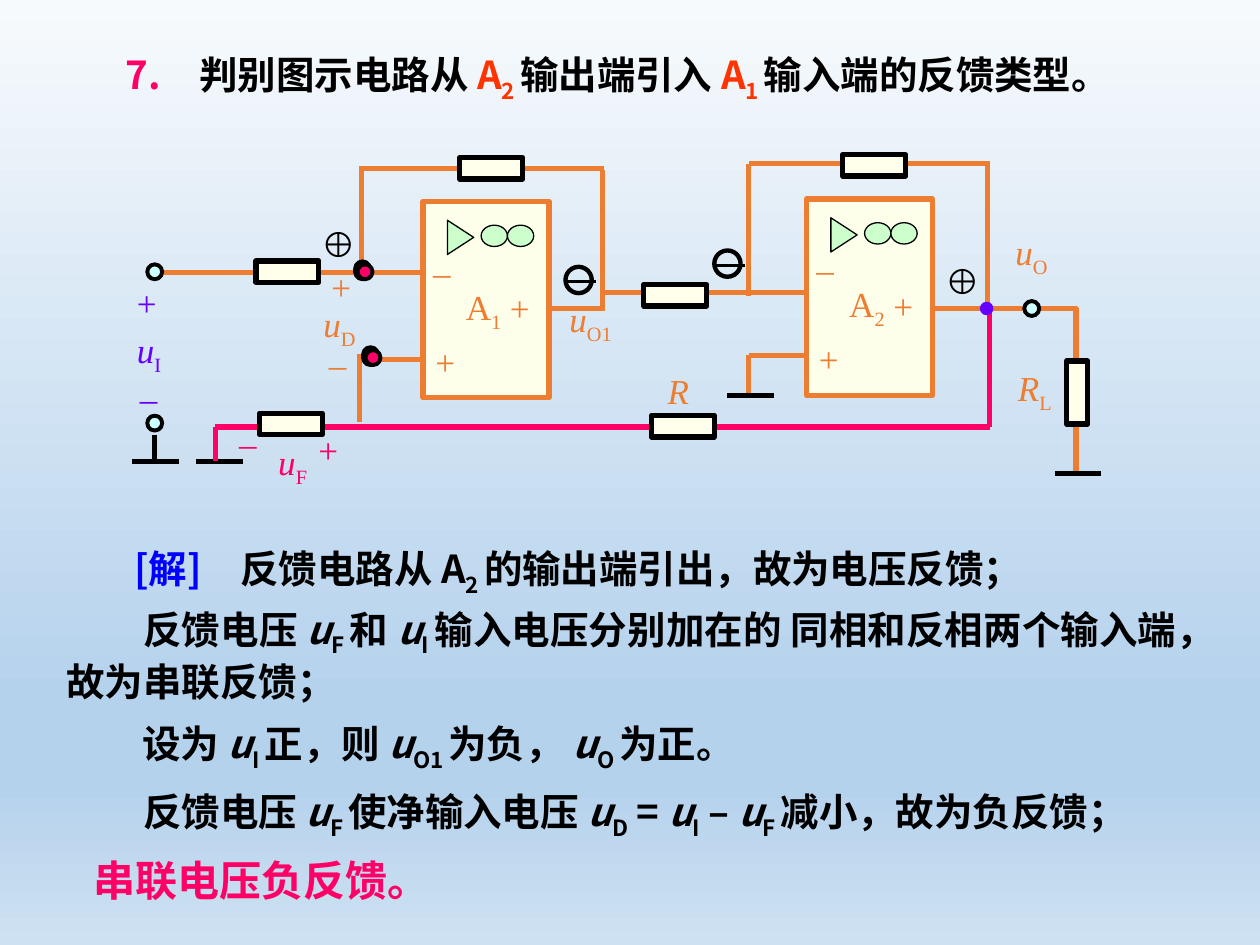
from lxml.etree import SubElement
from pptx import Presentation
from pptx.dml.color import RGBColor
from pptx.enum.dml import MSO_LINE
from pptx.enum.shapes import MSO_CONNECTOR, MSO_SHAPE
from pptx.enum.text import MSO_ANCHOR, PP_ALIGN
from pptx.oxml.ns import qn
from pptx.util import Cm, Pt

ORANGE, PINK, BLACK, VIOLET = "ED7D31", "FF0066", "000000", "6600FF"
CREAM, GREEN, CYAN = "FFFFEB", "CCFFCC", "CCFFFF"
SERIF, SANS = "Times New Roman", "Noto Sans CJK SC"
SKY = [(0, "F7FAFD"), (74, "B5D2EC"), (83, "B5D2EC"), (100, "CEE1F2")]


def color(value):
    return RGBColor.from_string(value)


def paint_sky(page):
    fill = page.background.fill
    fill.gradient()
    fill.gradient_angle = 270
    stops = fill.gradient_stops._gsLst
    for stop in list(stops):
        stops.remove(stop)
    for percent, value in SKY:
        stop = SubElement(stops, qn("a:gs"), pos=str(percent * 1000))
        SubElement(stop, qn("a:srgbClr"), val=value)


def plain(text, shade=None):
    return [(text, shade, False, False)]


def var(name, index="", italic=True, shade=None):
    return [(name, shade, italic, False), (index, shade, False, True)]


def add_text(page, left, top, width, height, spans, shade, size, font, bold=False,
             align=PP_ALIGN.LEFT, wrap=True, anchor=MSO_ANCHOR.MIDDLE):
    box = page.shapes.add_textbox(Cm(left), Cm(top), Cm(width), Cm(height))
    frame = box.text_frame
    frame.word_wrap = wrap
    frame.vertical_anchor = anchor
    para = frame.paragraphs[0]
    para.alignment = align
    para.font.size = Pt(size)
    para.font.bold = bold
    para.font.color.rgb = color(shade)
    para.font.name = font
    SubElement(para.font._rPr, qn("a:ea"), typeface=font)
    for text, own_shade, italic, lowered in spans:
        if not text:
            continue
        span = para.add_run()
        span.text = text
        if own_shade:
            span.font.color.rgb = color(own_shade)
        if italic:
            span.font.italic = True
        if lowered:
            span.font._element.set("baseline", "-25000")
    return para


def add_label(page, left, top, width, spans, shade=ORANGE):
    add_text(page, left, top, width, 1.12, spans, shade, 20, SERIF,
             wrap=False, anchor=MSO_ANCHOR.TOP)


def add_sign(page, left, top, sign, shade=ORANGE):
    add_label(page, left, top, 0.91 if sign == "+" else 0.86, plain(sign), shade)


def add_body(page, left, top, width, spans, height=1.19, shade=BLACK, size=22, **options):
    return add_text(page, left, top, width, height, spans, shade, size, SANS, True, **options)


def add_wire(page, x1, y1, x2, y2, shade=ORANGE, weight=3):
    wire = page.shapes.add_connector(MSO_CONNECTOR.STRAIGHT, Cm(x1), Cm(y1), Cm(x2), Cm(y2))
    wire.line.color.rgb = color(shade)
    wire.line.width = Pt(weight)
    SubElement(wire._element.spPr, qn("a:effectLst"))


def style(shape, fill, line, weight):
    shape.shadow.inherit = False
    if fill:
        shape.fill.solid()
        shape.fill.fore_color.rgb = color(fill)
    else:
        shape.fill.background()
    shape.line.color.rgb = color(line)
    shape.line.width = Pt(weight)
    shape.line.dash_style = MSO_LINE.SOLID


def add_part(page, kind, left, top, width, height, fill, line=BLACK, weight=3, turn=0):
    part = page.shapes.add_shape(kind, Cm(left), Cm(top), Cm(width), Cm(height))
    part.rotation = turn
    style(part, fill, line, weight)


def add_resistor(page, left, top, turn=0):
    add_part(page, MSO_SHAPE.RECTANGLE, left, top, 1.27, 0.43, CREAM, turn=turn)


def add_dot(page, left, top, fill, size=0.3, line=BLACK, weight=2.25):
    add_part(page, MSO_SHAPE.OVAL, left, top, size, size, fill, line, weight)


def add_ground(page, center, top):
    add_wire(page, center - 0.47, top, center + 0.47, top, BLACK)


def add_negative_mark(page, left, top):
    add_wire(page, left - 0.02, top + 0.3, left + 0.61, top + 0.3, BLACK, 1.75)
    add_dot(page, left, top, None, 0.53, weight=2.5)


def add_amplifier(page, left, top, index):
    add_part(page, MSO_SHAPE.RECTANGLE, left, top, 2.54, 3.96, "FEFFEB", ORANGE)
    add_part(page, MSO_SHAPE.FLOWCHART_MERGE, left + 0.41, top + 0.46, 0.69, 0.53,
             GREEN, weight=0.75, turn=270)
    for offset in (1.17, 1.7):
        add_part(page, MSO_SHAPE.OVAL, left + offset, top + 0.48, 0.53, 0.43, GREEN, weight=0.75)
    for dx, dy, sign in [(1.5, 1.6, "+"), (-0.05, 0.86, "–"), (0, 2.67, "+")]:
        add_sign(page, left + dx, top + dy, sign)
    add_label(page, left + 0.61, top + 1.57, 1.25, var("A", index, italic=False))


def add_load_wire(page):
    points = [(18.85, 6.22), (21.69, 6.22), (21.69, 9.55)]
    start, *others = [(Cm(x), Cm(y)) for x, y in points]
    builder = page.shapes.build_freeform(*start)
    builder.add_line_segments(others, close=False)
    style(builder.convert_to_shape(), None, ORANGE, 3)


def add_circuit(page):
    for ends in [(3.2, 5.49, 8.53, 5.49), (7.26, 7.24, 8.48, 7.24), (7.24, 7.14, 7.24, 8.51),
                 (7.29, 3.35, 7.29, 5.49), (12.14, 3.43, 12.14, 6.27), (7.29, 3.4, 12.17, 3.4),
                 (12.14, 5.89, 16.21, 5.89), (15.09, 7.16, 16.31, 7.16),
                 (15.09, 7.16, 15.09, 7.92), (15.09, 3.3, 15.09, 5.97),
                 (19.91, 3.35, 19.91, 6.22), (15.09, 3.3, 19.96, 3.3),
                 (11.07, 6.22, 12.14, 6.22)]:
        add_wire(page, *ends)
    add_load_wire(page)
    for center, top in [(3.14, 9.3), (4.42, 9.3), (15.13, 7.98), (21.73, 9.55)]:
        add_ground(page, center, top)
    add_wire(page, 3.12, 8.76, 3.12, 9.35, BLACK)
    for ends in [(4.34, 8.61, 19.96, 8.61), (19.94, 6.22, 19.94, 8.61), (4.34, 8.61, 4.34, 9.3)]:
        add_wire(page, *ends, PINK)
    for place in [(5.16, 5.26), (9.27, 3.18), (12.98, 5.74), (16.99, 3.12),
                  (5.23, 8.33), (13.13, 8.38), (21.08, 7.7, 90)]:
        add_resistor(page, *place)
    add_amplifier(page, 8.53, 4.06, "1")
    add_amplifier(page, 16.26, 4.01, "2")
    for left, top in [(2.97, 8.38), (2.97, 5.33), (20.65, 6.07)]:
        add_dot(page, left, top, CYAN)
    add_dot(page, 19.79, 6.12, VIOLET, 0.2, VIOLET, 2)
    for dx, dy in [(0, 0), (0, -0.06), (0.05, 0)]:
        for left, top in [(7.16, 5.33), (7.32, 7.06)]:
            add_dot(page, left + dx, top + dy, PINK)
    add_negative_mark(page, 14.4, 5.05)
    add_negative_mark(page, 11.4, 5.38)


def add_labels(page):
    for left, top, width, name, index, shade in [
            (20.22, 4.52, 1.2, "u", "O", ORANGE), (11.23, 5.87, 1.45, "u", "O1", ORANGE),
            (6.27, 5.97, 1.24, "u", "D", ORANGE), (2.51, 6.5, 1.09, "u", "I", VIOLET),
            (5.36, 8.76, 1.19, "u", "F", PINK), (20.27, 7.26, 1.3, "R", "L", ORANGE),
            (13.21, 7.32, 0.99, "R", "", ORANGE)]:
        add_label(page, left, top, width, var(name, index), shade)
    for left, top, sign, shade in [
            (2.51, 5.56, "+", VIOLET), (2.57, 7.47, "–", VIOLET), (6.43, 5.23, "+", ORANGE),
            (6.38, 6.78, "–", ORANGE), (6.17, 8.51, "+", PINK), (4.57, 8.38, "–", PINK)]:
        add_sign(page, left, top, sign, shade)
    for left, top in [(6.22, 4.37), (18.8, 5.11)]:
        add_label(page, left, top, 1.19, plain("⊕"), BLACK)


def add_solution(page):
    add_body(page, 2.46, 10.92, 22.2, plain("[解]　", "0000FF") + plain("反馈电路从 ")
             + var("A", "2 ", italic=False) + plain("的输出端引出，故为电压反馈；"))
    series = add_body(page, 1.09, 12.14, 22.89, plain("反馈电压 ") + var("u", "F ") + plain("和 ")
                      + var("u", "I ") + plain("输入电压分别加在的 同相和反相两个输入端，故为串联反馈；"),
                      height=2.13, align=PP_ALIGN.JUSTIFY)
    series._p.get_or_add_pPr().set("indent", str(Cm(1.55)))
    add_body(page, 2.62, 14.45, 18.34, plain("设为 ") + var("u", "I ") + plain("正，则 ")
             + var("u", "O1 ") + plain("为负， ") + var("u", "O ") + plain("为正。"))
    add_body(page, 2.64, 15.82, 23.11, plain("反馈电压 ") + var("u", "F ") + plain("使净输入电压 ")
             + var("u", "D") + plain(" = ") + var("u", "I") + plain(" – ") + var("u", "F ")
             + plain("减小，故为负反馈；"), align=PP_ALIGN.JUSTIFY)
    add_body(page, 1.04, 17.09, 8.46, plain("串联电压负反馈。"), height=1.27, shade=PINK, size=24,
             align=PP_ALIGN.CENTER)


def main():
    deck = Presentation()
    deck.slide_width, deck.slide_height = Cm(25.4), Cm(19.05)
    page = deck.slides.add_slide(deck.slide_layouts[6])
    paint_sky(page)
    add_body(page, 2.29, 0.91, 21.21, plain("7.　", PINK) + plain("判别图示电路从 ")
             + var("A", "2 ", False, "FF3300") + plain("输出端引入 ")
             + var("A", "1 ", False, "FF3300") + plain("输入端的反馈类型。"),
             align=PP_ALIGN.JUSTIFY, anchor=MSO_ANCHOR.TOP)
    add_circuit(page)
    add_labels(page)
    add_solution(page)


    deck.save("out.pptx")


if __name__ == "__main__":
    main()
